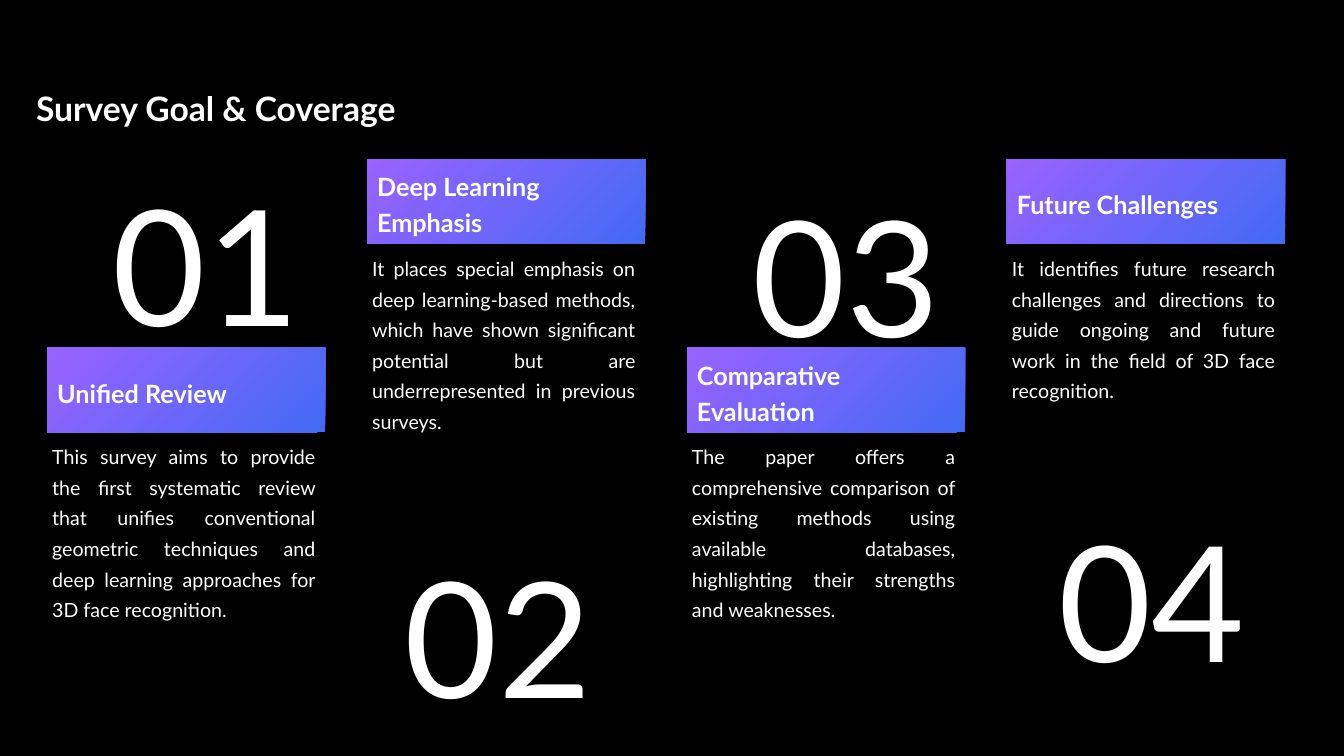
from pptx import Presentation
from pptx.dml.color import RGBColor
from pptx.enum.shapes import MSO_SHAPE as Shape
from pptx.enum.text import MSO_ANCHOR as Anchor, PP_ALIGN as Align
from pptx.util import Pt

WHITE, BLACK = "FFFFFF", "000000"
BLUE, PURPLE = "426AF4", "9A62FE"
LEFT, PITCH = 33.8, 228.5
HIGH, LOW = 113.8, 248.4
WIDTH, HEAD = 198.7, 60.5

CARDS = [
    ("01", "Unified Review", LOW, 39.6, -150.5,
     "This survey aims to provide the first systematic review that unifies "
     "conventional geometric techniques and deep learning approaches for "
     "3D face recognition."),
    ("02", "Deep Learning Emphasis", HIGH, 19.9, 249.8,
     "It places special emphasis on deep learning-based methods, which have "
     "shown significant potential but are underrepresented in previous "
     "surveys."),
    ("03", "Comparative Evaluation", LOW, 39.8, -142.6,
     "The paper offers a comprehensive comparison of existing methods using "
     "available databases, highlighting their strengths and weaknesses."),
    ("04", "Future Challenges", HIGH, 29.5, 223.9,
     "It identifies future research challenges and directions to guide "
     "ongoing and future work in the field of 3D face recognition."),
]


def paint(color, code):
    color.rgb = RGBColor.from_string(code)


def write(shape, text, size, bold=False, anchor=Anchor.MIDDLE,
          align=Align.LEFT, space=1.2):
    frame = shape.text_frame
    frame.word_wrap = True
    frame.vertical_anchor = anchor
    para = frame.paragraphs[0]
    para.text = text
    para.alignment = align
    para.line_spacing = space
    font = para.font
    font.name, font.size, font.bold = "Lato", Pt(size), bold
    paint(font.color, WHITE)


def add_text(slide, box, text, size, **style):
    shape = slide.shapes.add_textbox(*map(Pt, box))
    write(shape, text, size, **style)


def add_head(slide, box, text):
    head = slide.shapes.add_shape(Shape.RECTANGLE, *map(Pt, box))
    head.shadow.inherit = False
    head.line.fill.background()
    head.fill.gradient()
    head.fill.gradient_angle = 135
    for stop, code, place in zip(head.fill.gradient_stops, (BLUE, PURPLE), (0, 1)):
        paint(stop.color, code)
        stop.position = place
    write(head, text, 18, bold=True)


def add_card(slide, box, number, title, shift, drop, body):
    left, top, width, height = box
    add_head(slide, box, title)
    add_text(slide, (left + shift, top + drop, 159.1, 151.2), number, 115)
    add_text(slide, (left - 3.6, top + height + 0.6, width + 3.6, 179.3), body, 14,
             anchor=Anchor.TOP, align=Align.JUSTIFY, space=1.3)


def main():
    deck = Presentation()
    deck.slide_width, deck.slide_height = Pt(960), Pt(540)
    slide = deck.slides.add_slide(deck.slide_layouts[6])
    back = slide.background.fill
    back.solid()
    paint(back.fore_color, BLACK)
    add_text(slide, (18.7, 59.8, 331.2, 28.8), "Survey Goal & Coverage", 24, bold=True)
    for col, (number, title, top, shift, drop, body) in enumerate(CARDS):
        box = LEFT + col * PITCH, top, WIDTH, HEAD
        add_card(slide, box, number, title, shift, drop, body)
    deck.save("out.pptx")


if __name__ == "__main__":
    main()
